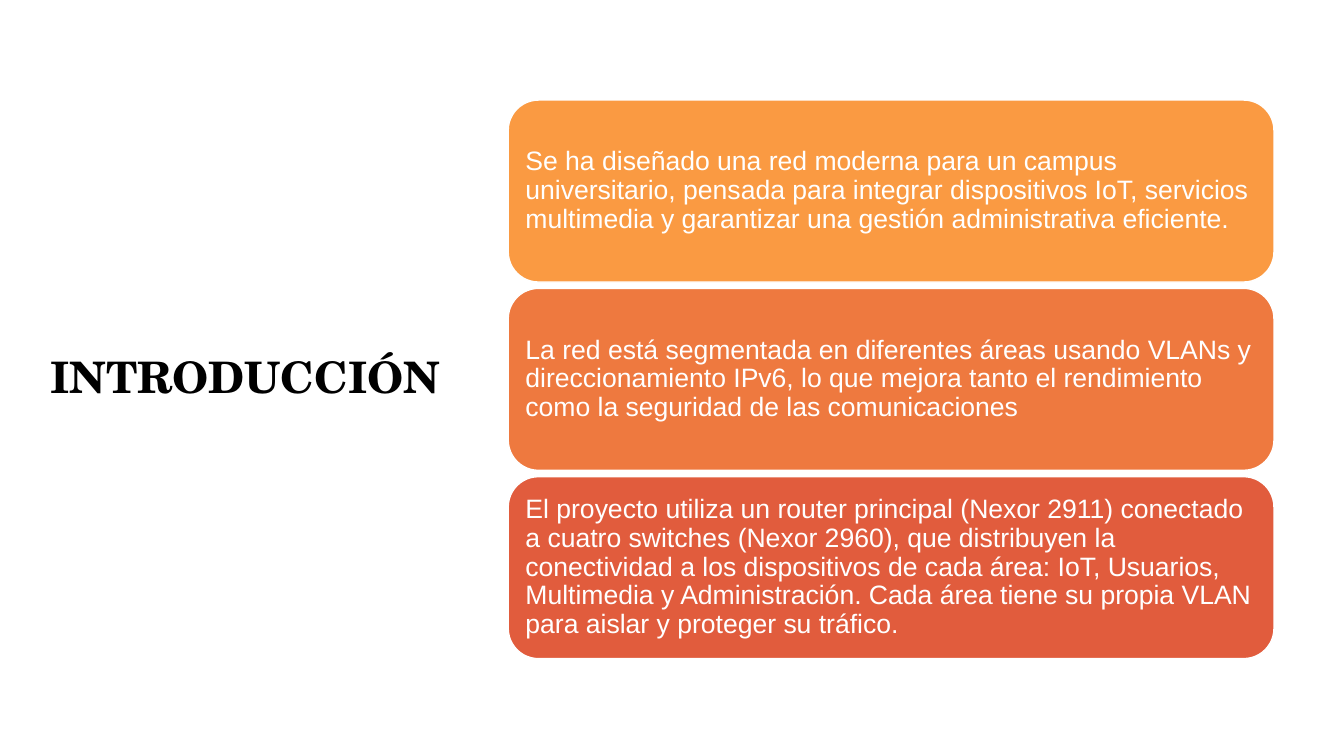
from dataclasses import dataclass

from pptx import Presentation
from pptx.dml.color import RGBColor
from pptx.enum import shapes, text
from pptx.util import Pt


@dataclass(frozen=True)
class Theme:
    title_font: str = "TeX Gyre Schola"
    body_font: str = "Arial"
    title_size: float = 31
    body_size: float = 19
    line_spacing: float = 0.9
    ink: str = "000000"
    paper: str = "FFFFFF"
    cards: tuple = ("FA9A42", "EE793F", "E15C3D")


class SlideBuilder:
    """Holds the theme and the page being built."""

    def __init__(self, page, theme):
        self.page = page
        self.theme = theme

    def set_text(self, shape, wording, font, size, color, bold=False):
        """Fill a shape with one left-aligned, vertically centred paragraph."""
        frame = shape.text_frame
        frame.text = wording
        frame.word_wrap = True
        frame.auto_size = text.MSO_AUTO_SIZE.NONE
        frame.vertical_anchor = text.MSO_ANCHOR.MIDDLE
        para = frame.paragraphs[0]
        para.alignment = text.PP_ALIGN.LEFT
        para.line_spacing = self.theme.line_spacing
        para.font.name = font
        para.font.size = Pt(size)
        para.font.bold = bold
        para.font.color.rgb = RGBColor.from_string(color)

    def title(self, wording, left, top, width, height):
        box = self.page.shapes.title
        box.left, box.top, box.width, box.height = map(Pt, (left, top, width, height))
        theme = self.theme
        self.set_text(box, wording, theme.title_font, theme.title_size, theme.ink, bold=True)

    def card(self, wording, fill, left, top, width, height):
        theme = self.theme
        box = self.page.shapes.add_shape(
            shapes.MSO_SHAPE.ROUNDED_RECTANGLE, *map(Pt, (left, top, width, height)))
        box.shadow.inherit = False
        box.fill.solid()
        box.fill.fore_color.rgb = RGBColor.from_string(fill)
        box.line.color.rgb = RGBColor.from_string(theme.paper)
        box.line.width = Pt(1)
        frame = box.text_frame
        frame.margin_left = frame.margin_right = Pt(6)
        frame.margin_top = frame.margin_bottom = Pt(6)
        self.set_text(box, wording, theme.body_font, theme.body_size, theme.paper)


CARD_TEXTS = (
    "Se ha diseñado una red moderna para un campus universitario, pensada para "
    "integrar dispositivos IoT, servicios multimedia y garantizar una gestión "
    "administrativa eficiente.",
    "La red está segmentada en diferentes áreas usando VLANs y direccionamiento "
    "IPv6, lo que mejora tanto el rendimiento como la seguridad de las comunicaciones",
    "El proyecto utiliza un router principal (Nexor 2911) conectado a cuatro "
    "switches (Nexor 2960), que distribuyen la conectividad a los dispositivos de "
    "cada área: IoT, Usuarios, Multimedia y Administración. Cada área tiene su "
    "propia VLAN para aislar y proteger su tráfico.",
)
CARD_LEFT, CARD_TOP, CARD_WIDTH, CARD_HEIGHT = 363, 71.5, 547, 130
CARD_GAP = 4.5


def main():
    deck = Presentation()
    deck.slide_width, deck.slide_height = Pt(960), Pt(540)
    title_only = deck.slide_layouts[5]
    theme = Theme()
    builder = SlideBuilder(deck.slides.add_slide(title_only), theme)

    builder.title("INTRODUCCIÓN", 29, 43, 294.5, 456)
    for row, (wording, fill) in enumerate(zip(CARD_TEXTS, theme.cards)):
        top = CARD_TOP + row * (CARD_HEIGHT + CARD_GAP)
        builder.card(wording, fill, CARD_LEFT, top, CARD_WIDTH, CARD_HEIGHT)

    deck.save("out.pptx")


if __name__ == "__main__":
    main()
